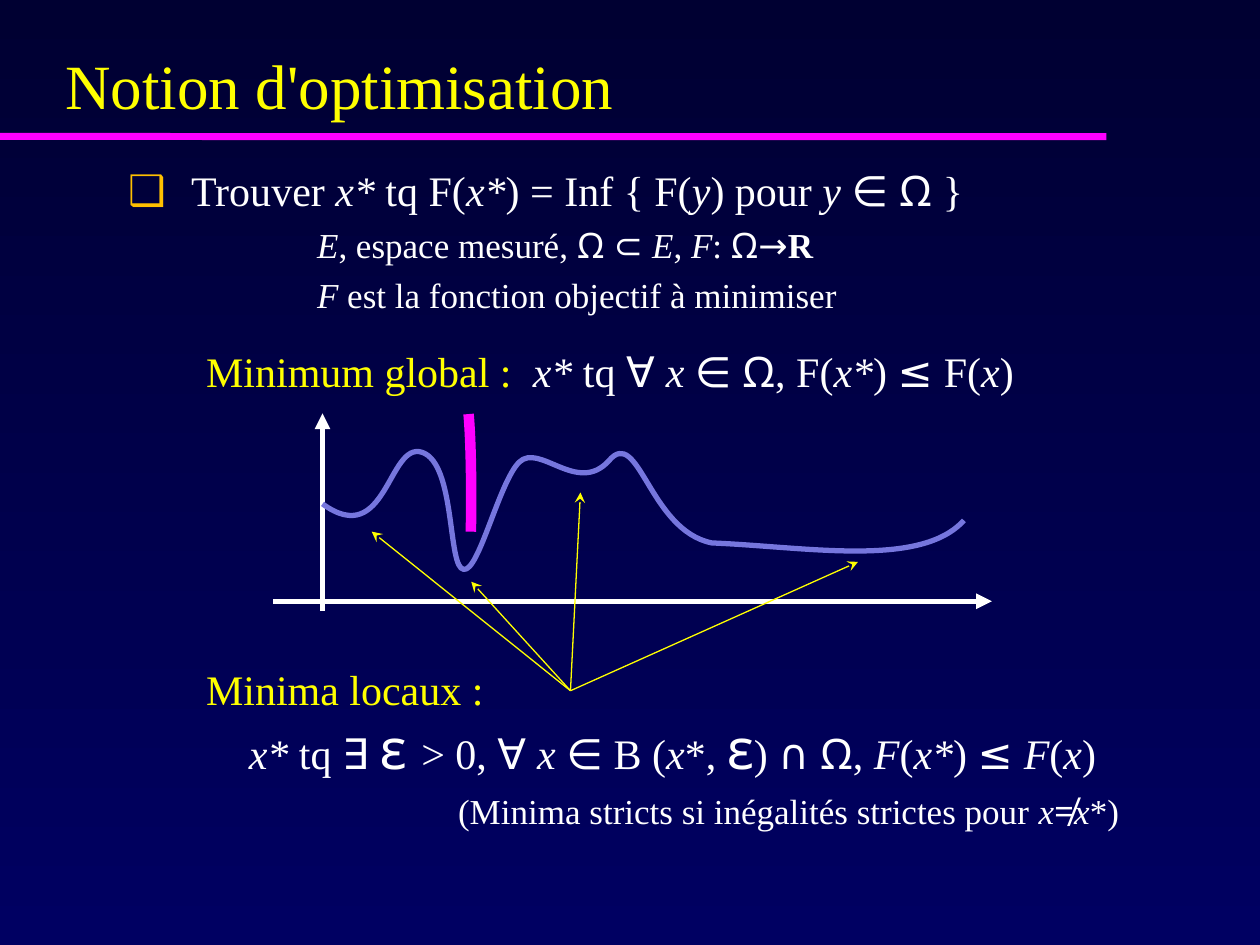
from dataclasses import dataclass
from itertools import groupby

from lxml.etree import SubElement
from pptx import Presentation
from pptx.dml.color import RGBColor
from pptx.enum.shapes import MSO_CONNECTOR as Connector
from pptx.enum.text import MSO_ANCHOR as Anchor, PP_ALIGN as Align
from pptx.oxml.ns import qn
from pptx.util import Pt

SERIF, SYMBOL = "Times New Roman", "Noto Sans"
SYMBOLS = "∈Ω⊂→∀≤∃ε∩≠"
WHITE, YELLOW, MAGENTA = "FFFFFF", "FFFF00", "FF00FF"
Point = tuple[float, float]


@dataclass
class Line:
    """One paragraph: a yellow label, then white text with _italic_ and ^bold^ marks."""
    label: str = ""
    text: str = ""
    size: float = 24
    before: float = 0
    margin: float = 0
    indent: float = 0
    align: Align = Align.LEFT
    spacing: float = 1.0
    bullet: str = ""


@dataclass
class Block:
    left: float
    top: float
    width: float
    height: float
    lines: list[Line]
    anchor: Anchor = Anchor.TOP


@dataclass
class Arrow:
    start: Point
    end: Point
    color: str
    width: float
    head: str = ""


@dataclass
class Curve:
    """Cubic segments: a start, then two controls and an end for each."""
    points: list[Point]
    color: str
    width: float


def rgb(color: str) -> RGBColor:
    return RGBColor.from_string(color)


def styled_chars(line: Line):
    """Yield (character, style) pairs; a space keeps the font before it."""
    for char in line.label:
        yield char, (SERIF, line.size, False, False, YELLOW)
    italic = bold = False
    font, size = SERIF, line.size
    for char in line.text:
        if char == "_":
            italic = not italic
        elif char == "^":
            bold = not bold
        else:
            if char != " ":
                font = SYMBOL if char in SYMBOLS else SERIF
                size = 32 if char == "ε" else line.size
            yield char, (font, size, italic, bold, WHITE)


def fill_paragraph(para, line: Line) -> None:
    para.alignment = line.align
    para.space_before = Pt(line.before)
    para.line_spacing = line.spacing
    props = para._p.get_or_add_pPr()
    props.set("marL", str(Pt(line.margin)))
    props.set("indent", str(Pt(line.indent)))
    if line.bullet:
        SubElement(SubElement(props, qn("a:buClr")), qn("a:srgbClr"), val="FFC000")
        SubElement(props, qn("a:buFont"), typeface=SYMBOL)
        SubElement(props, qn("a:buChar"), char=line.bullet)
    for style, pairs in groupby(styled_chars(line), key=lambda pair: pair[1]):
        span = para.add_run()
        span.text = "".join(char for char, _ in pairs)
        font = span.font
        font.name, size, font.italic, font.bold, color = style
        font.size = Pt(size)
        font.color.rgb = rgb(color)


def draw_block(page, block: Block) -> None:
    box = page.shapes.add_textbox(
        Pt(block.left), Pt(block.top), Pt(block.width), Pt(block.height))
    frame = box.text_frame
    frame.word_wrap = True
    frame.vertical_anchor = block.anchor
    for number, line in enumerate(block.lines):
        para = frame.add_paragraph() if number else frame.paragraphs[0]
        fill_paragraph(para, line)


def draw_arrow(shapes, arrow: Arrow) -> None:
    ends = [Pt(value) for value in (*arrow.start, *arrow.end)]
    connector = shapes.add_connector(Connector.STRAIGHT, *ends)
    connector.line.color.rgb = rgb(arrow.color)
    connector.line.width = Pt(arrow.width)
    if arrow.head:
        SubElement(connector.line._get_or_add_ln(), qn("a:tailEnd"), type=arrow.head)
    SubElement(connector._element.spPr, qn("a:effectLst"))


def draw_curve(page, curve: Curve) -> None:
    points = [(Pt(x), Pt(y)) for x, y in curve.points]
    builder = page.shapes.build_freeform(*points[0])
    builder.add_line_segments(points[3::3], close=False)
    shape = builder.convert_to_shape()
    # Bend each straight segment into a cubic one
    segments = list(shape._element.iter(qn("a:lnTo")))
    for number, segment in enumerate(segments):
        segment.tag = qn("a:cubicBezTo")
        segment.remove(segment[0])
        for x, y in points[3 * number + 1:3 * number + 4]:
            SubElement(segment, qn("a:pt"), x=str(x - shape.left), y=str(y - shape.top))
    shape.shadow.inherit = False
    shape.fill.background()
    shape.line.color.rgb = rgb(curve.color)
    shape.line.width = Pt(curve.width)


RULE = Arrow((0, 78), (632.2, 78.1), MAGENTA, 4)
BLOCKS = [
    Block(30.2, 21.6, 612, 50.4,
          [Line("Notion d'optimisation", size=36, spacing=0.68)], Anchor.BOTTOM),
    Block(66.1, 90.2, 608.4, 379.4, [
        Line(text="Trouver _x*_ tq F(_x*_) = Inf { F(_y_) pour _y _∈ Ω }",
             margin=36, indent=-36, bullet="❑"),
        Line(text="_E_, espace mesuré, Ω ⊂ _E_, _F_: Ω→^R^", size=20, before=5, margin=108),
        Line(text="_F_ est la fonction objectif à minimiser", size=20, before=5, margin=108),
    ]),
    Block(110.7, 193.7, 583.9, 36,
          [Line("Minimum global :  ", "_x*_ tq ∀ _x _∈ Ω, F(_x*_) ≤ F(_x_)")]),
    Block(110.7, 375.3, 547.2, 104.4, [
        Line("Minima locaux :"),
        Line(text="_x*_ tq ∃ ε > 0, ∀ _x _∈ B (_x_*, ε) ∩ Ω, _F_(_x*_) ≤ _F_(_x_)",
             align=Align.CENTER),
        Line(text="(Minima stricts si inégalités strictes pour _x_≠_x_*)",
             size=20, before=5, margin=144),
    ]),
]
GLOBAL_MARK = Curve([(267.8, 236.6), (270, 262.1), (269.1, 303.8), (269.1, 303.8)],
                    MAGENTA, 6)
OBJECTIVE = Curve([
    (184.3, 288),
    (221, 314.6), (221.8, 252), (241.2, 258.5),
    (260.6, 265), (255.6, 324.7), (265, 325.4),
    (273.6, 326.9), (285.1, 275.8), (296.6, 264.2),
    (308.2, 252.7), (329.8, 283), (347.8, 263.5),
    (365, 242.6), (370.8, 303.1), (406.8, 310.3),
    (460.8, 312.5), (526.3, 324.7), (550.8, 297.4),
], "7676DE", 3)
AXES = [Arrow((184.3, 349.2), (184.3, 236.2), WHITE, 3, "triangle"),
        Arrow((156.2, 343.6), (566.8, 343.6), WHITE, 3, "triangle")]
LOCAL_SOURCE = (326, 394.7)
LOCAL_MINIMA = [(212.4, 303.8), (269.3, 332.4), (331.7, 281.4), (490.3, 321.1)]


def main() -> None:
    deck = Presentation()
    deck.slide_width, deck.slide_height = Pt(720), Pt(540)
    page = deck.slides.add_slide(deck.slide_layouts[6])

    # Background, dark at the top
    fill = page.background.fill
    fill.gradient()
    fill.gradient_angle = 270
    for stop, position, color in zip(fill.gradient_stops, (0, 1), ("000032", "000062")):
        stop.position = position
        stop.color.rgb = rgb(color)

    # Title rule and text
    draw_arrow(page.shapes, RULE)
    for block in BLOCKS:
        draw_block(page, block)

    # Plot of the objective function
    draw_curve(page, GLOBAL_MARK)
    for axis in AXES:
        draw_arrow(page.shapes, axis)
    draw_curve(page, OBJECTIVE)

    # Pointers to the local minima
    pointers = page.shapes.add_group_shape()
    for minimum in LOCAL_MINIMA:
        draw_arrow(pointers.shapes, Arrow(LOCAL_SOURCE, minimum, YELLOW, 0.75, "stealth"))

    deck.save("out.pptx")


if __name__ == "__main__":
    main()
